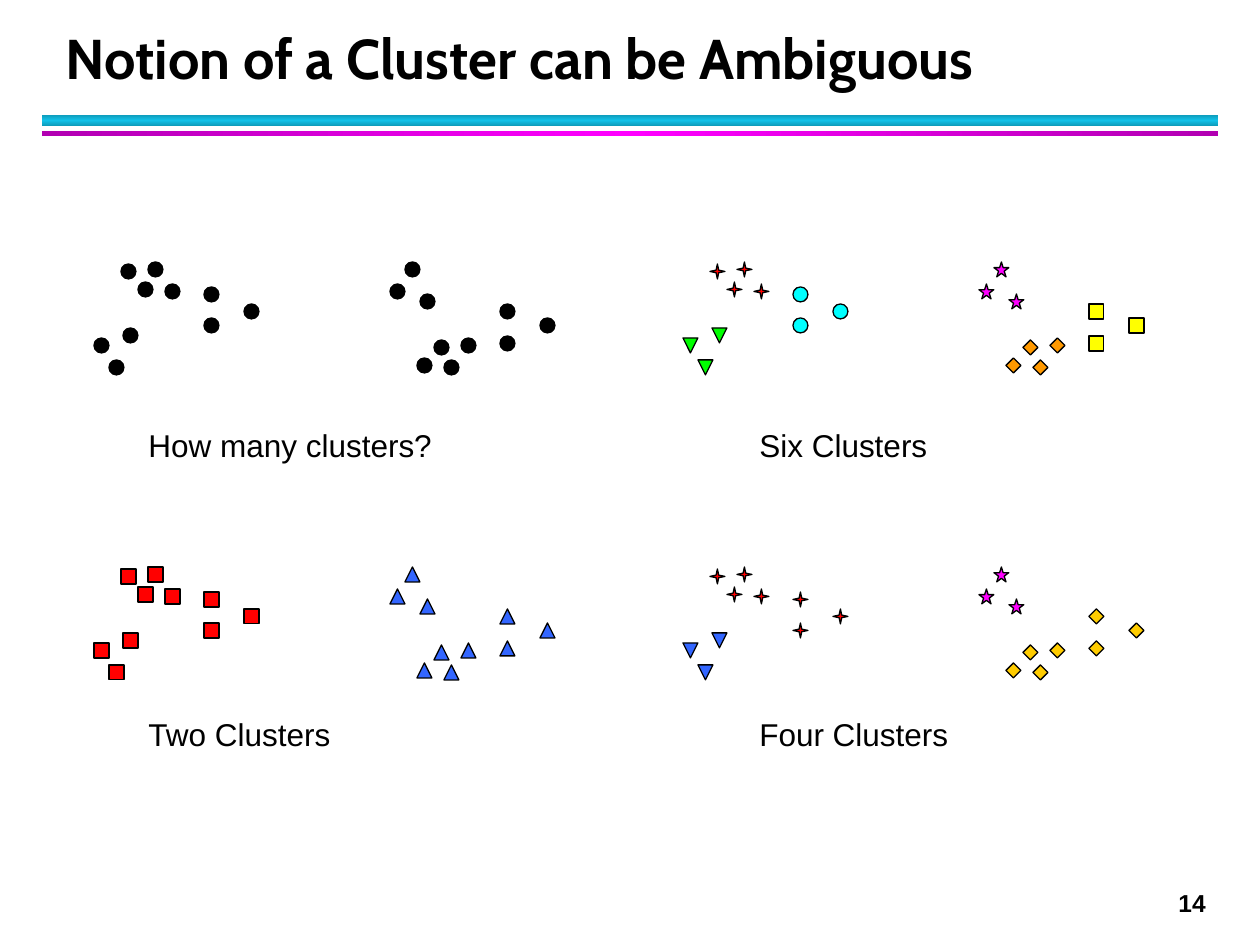
import copy

import pptx
import pptx.util
from pptx.dml.color import RGBColor
from pptx.enum.shapes import MSO_SHAPE
from pptx.enum.text import MSO_ANCHOR
from pptx.oxml.ns import qn

PX = 914400 // 126
MARKER = 15

COLORS = {
    "black": "000000", "red": "FF0000", "blue": "3366FF", "green": "00FF00",
    "cyan": "00FFFF", "magenta": "FF00FF", "orange": "FF9900",
    "gold": "FFCC00", "yellow": "FFFF00",
    "teal edge": "0E9BBA", "teal": "12C2E9", "purple edge": "B200B2",
}

TITLE = "Notion of a Cluster can be Ambiguous"
PAGE_NUMBER = "14"

# left, top, width, height, edge colour, middle colour, gradient angle
RULES = [
    (42, 115, 1176, 11, "teal edge", "teal", 90),
    (42, 131, 1176, 5, "purple edge", "magenta", 0),
]

# Marker offsets from the panel's corner, by natural group of points
POINTS = {
    "right low": [(367, 76), (323, 96), (350, 98), (340, 78)],
    "right high": [(326, 32), (296, 22), (311, 0)],
    "right side": [(406, 74), (446, 56), (406, 42)],
    "left high": [(71, 22), (27, 2), (54, 0), (44, 20)],
    "left low": [(29, 66), (0, 76), (15, 98)],
    "left side": [(110, 25), (150, 42), (110, 56)],
}

# Marker styles: preset shape, colour, flipped upside down
DOT = (MSO_SHAPE.OVAL, "black", False)
CYAN_DOT = (MSO_SHAPE.OVAL, "cyan", False)
RED_SQUARE = (MSO_SHAPE.RECTANGLE, "red", False)
YELLOW_SQUARE = (MSO_SHAPE.RECTANGLE, "yellow", False)
BLUE_UP = (MSO_SHAPE.ISOSCELES_TRIANGLE, "blue", False)
BLUE_DOWN = (MSO_SHAPE.FLOWCHART_EXTRACT, "blue", True)
GREEN_DOWN = (MSO_SHAPE.ISOSCELES_TRIANGLE, "green", True)
RED_STAR = (MSO_SHAPE.STAR_4_POINT, "red", False)
PINK_STAR = (MSO_SHAPE.STAR_5_POINT, "magenta", False)
ORANGE_DIAMOND = (MSO_SHAPE.DIAMOND, "orange", False)
GOLD_DIAMOND = (MSO_SHAPE.DIAMOND, "gold", False)

# Caption, column, row, one style for each group in POINTS
PANELS = [
    ("How many clusters?", 0, 0, [DOT] * 6),
    ("Four Clusters", 1, 1, [GOLD_DIAMOND, PINK_STAR, GOLD_DIAMOND,
                             RED_STAR, BLUE_DOWN, RED_STAR]),
    ("Two Clusters", 0, 1, [BLUE_UP] * 3 + [RED_SQUARE] * 3),
    ("Six Clusters", 1, 0, [ORANGE_DIAMOND, PINK_STAR, YELLOW_SQUARE,
                            RED_STAR, GREEN_DOWN, CYAN_DOT]),
]
PANEL_X, PANEL_Y = (94, 683), (262, 567)
CAPTION_X, CAPTION_Y = (136, 747), (420, 709)


def rgb(name):
    return RGBColor.from_string(COLORS[name])


def px(*lengths):
    return [n * PX for n in lengths]


def add_text(shapes, box, text, size, font="Arial", bold=False, wrap=True):
    tf = shapes.add_textbox(*px(*box)).text_frame
    tf.word_wrap = wrap
    r = tf.paragraphs[0].add_run()
    r.text = text
    r.font.name, r.font.size, r.font.bold = font, pptx.util.Pt(size), bold
    r.font.color.rgb = rgb("black")
    return tf


def add_rule(shapes, x, y, w, h, edge, middle, angle):
    """Draw a bar with a three-stop gradient: edge, middle, edge."""
    sp = shapes.add_shape(MSO_SHAPE.RECTANGLE, *px(x, y, w, h))
    sp.shadow.inherit = False
    sp.line.fill.background()
    sp.fill.gradient()
    sp.fill.gradient_angle = angle
    stops = sp._element.spPr.find(".//" + qn("a:gsLst"))
    stops.append(copy.deepcopy(stops[0]))
    for stop, color, at in zip(sp.fill.gradient_stops,
                               (edge, middle, edge), (0, 0.5, 1)):
        stop.color.rgb = rgb(color)
        stop.position = at


def add_marker(shapes, x, y, style):
    preset, color, flipped = style
    sp = shapes.add_shape(preset, *px(x, y, MARKER, MARKER))
    sp.shadow.inherit = False
    sp.fill.solid()
    sp.fill.fore_color.rgb = rgb(color)
    sp.line.color.rgb = rgb("black")
    sp.line.width = pptx.util.Pt(0.75)
    if preset == MSO_SHAPE.STAR_4_POINT:
        sp.adjustments[0] = 0.125
    if flipped:
        sp._element.spPr.find(qn("a:xfrm")).set("flipV", "1")


def add_panel(shapes, caption, col, row, styles):
    group = shapes.add_group_shape().shapes
    for points, style in zip(POINTS.values(), styles):
        for dx, dy in points:
            add_marker(group, PANEL_X[col] + dx, PANEL_Y[row] + dy, style)
    add_text(group, (CAPTION_X[col], CAPTION_Y[row], 315, 50), caption, 18)


def main():
    prs = pptx.Presentation()
    prs.slide_width, prs.slide_height = pptx.util.Inches(10), pptx.util.Inches(7.5)
    shapes = prs.slides.add_slide(prs.slide_layouts[6]).shapes
    for rule in RULES:
        add_rule(shapes, *rule)
    add_text(shapes, (1166, 882, 55, 43), PAGE_NUMBER, 14, bold=True, wrap=False)
    tf = add_text(shapes, (53, 21, 1142, 76), TITLE, 32, font="Cabin", bold=True)
    tf.vertical_anchor = MSO_ANCHOR.BOTTOM
    tf.paragraphs[0].line_spacing = pptx.util.Pt(36)
    for panel in PANELS:
        add_panel(shapes, *panel)
    prs.save("out.pptx")


if __name__ == "__main__":
    main()
